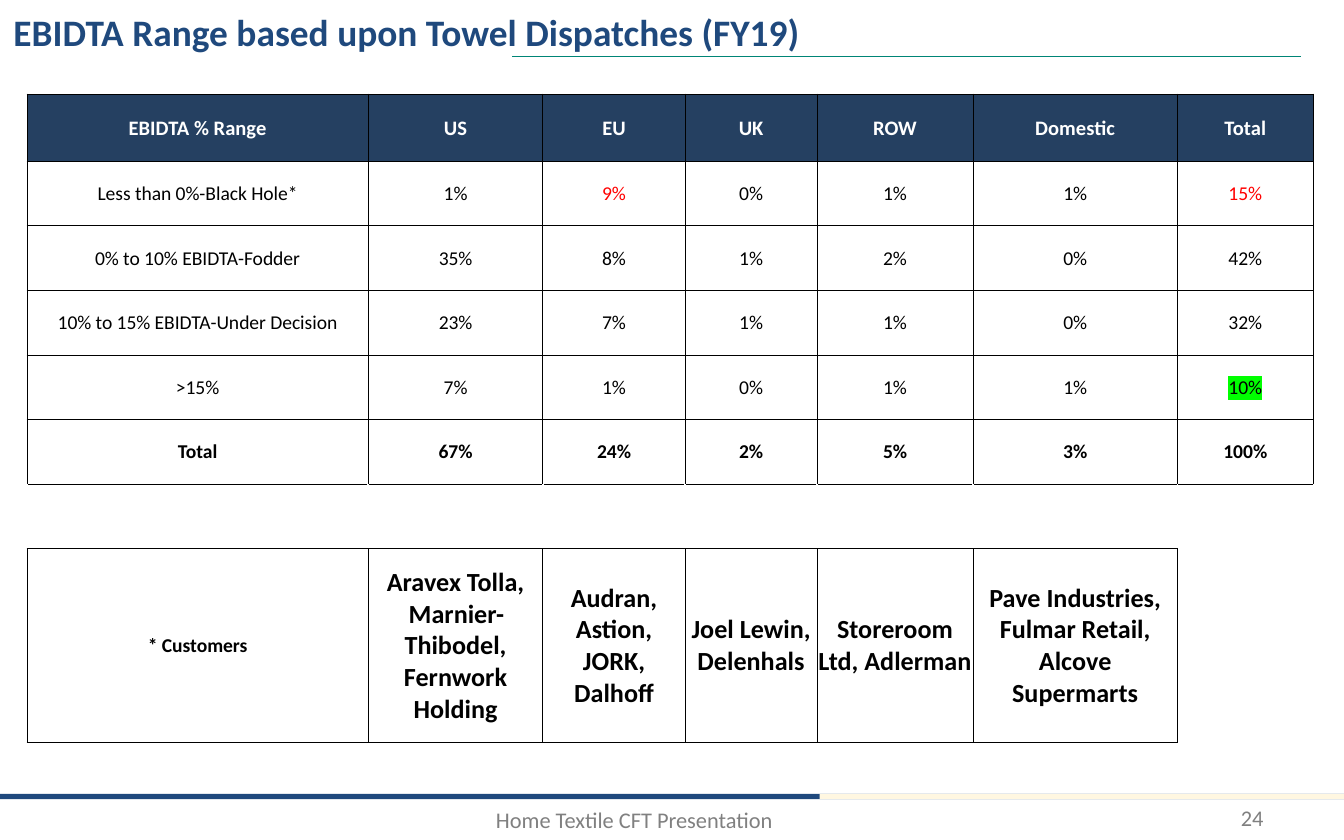
import pptx
import pptx.util
import pptx.dml.color
import pptx.enum.shapes
import pptx.enum.text
import pptx.oxml
import pptx.oxml.ns
from lxml import etree

Cm, Pt = pptx.util.Cm, pptx.util.Pt
RGBColor = pptx.dml.color.RGBColor
PP_ALIGN = pptx.enum.text.PP_ALIGN
ANCHOR = pptx.enum.text.MSO_ANCHOR
qn = pptx.oxml.ns.qn

NAVY = RGBColor(0x1F, 0x49, 0x7D)
HEADER_BLUE = RGBColor(0x25, 0x40, 0x61)
CREAM = RGBColor(0xFF, 0xF7, 0xE1)
TEAL = RGBColor(0x00, 0x85, 0x76)
GREY = RGBColor(0x80, 0x80, 0x80)
RED = RGBColor(0xFF, 0x00, 0x00)
GREEN = RGBColor(0x00, 0xFF, 0x00)
BLACK = RGBColor(0x00, 0x00, 0x00)
WHITE = RGBColor(0xFF, 0xFF, 0xFF)


def format_paragraph(paragraph, size, color, align, bold=False):
    paragraph.alignment = align
    font = paragraph.font
    font.name, font.size, font.bold = "Calibri", Pt(size), bold
    font.color.rgb = color


def add_borders(cell, sides):
    for side in sides:
        cell._tc.get_or_add_tcPr().append(pptx.oxml.parse_xml(
            f'<a:ln{side} xmlns:a="http://schemas.openxmlformats.org/drawingml/2006/main" w="6350">'
            f'<a:solidFill><a:srgbClr val="{BLACK}"/></a:solidFill></a:ln{side}>'))


prs = pptx.Presentation()
prs.slide_width, prs.slide_height = Cm(25.4), Cm(15.88)
slide = prs.slides.add_slide(prs.slide_layouts[5])

# Footer bars
for left, width, color in [(0, 25.4, NAVY), (15.49, 9.91, CREAM)]:
    bar = slide.shapes.add_shape(pptx.enum.shapes.MSO_SHAPE.RECTANGLE,
                                 Cm(left), Cm(15.01), Cm(width), Cm(0.1))
    bar.shadow.inherit = False
    bar.fill.solid()
    bar.fill.fore_color.rgb = color
    bar.line.fill.background()

# Footer text and page number
for text, left, top, width, height, align, anchor in [
        ("Home Textile CFT Presentation", 3.2, 15.11, 17.58, 0.69, PP_ALIGN.CENTER, ANCHOR.TOP),
        ("24", 18.21, 15.14, 5.92, 0.64, PP_ALIGN.RIGHT, ANCHOR.MIDDLE)]:
    footer = slide.shapes.add_textbox(Cm(left), Cm(top), Cm(width), Cm(height)).text_frame
    footer.word_wrap = True
    footer.vertical_anchor = anchor
    footer.text = text
    format_paragraph(footer.paragraphs[0], 12, GREY, align)

# Title and its underline
title = slide.shapes.title
title.left, title.top, title.width, title.height = Cm(0), Cm(0.05), Cm(24.92), Cm(1.6)
title.text_frame.text = "EBIDTA Range based upon Towel Dispatches (FY19)"
title.text_frame.vertical_anchor = ANCHOR.TOP
title.text_frame.auto_size = pptx.enum.text.MSO_AUTO_SIZE.NONE
format_paragraph(title.text_frame.paragraphs[0], 20, NAVY, PP_ALIGN.LEFT, bold=True)

underline = slide.shapes.add_connector(pptx.enum.shapes.MSO_CONNECTOR.STRAIGHT,
                                       Cm(9.68), Cm(1.07), Cm(24.59), Cm(1.07))
underline.line.color.rgb = TEAL
underline.line.width = Pt(0.5)
etree.SubElement(underline._element.spPr, qn("a:effectLst"))

# EBIDTA table, with a spacer row above the customers
ROWS = [
    ["EBIDTA % Range", "US", "EU", "UK", "ROW", "Domestic", "Total"],
    ["Less than 0%-Black Hole*", "1%", "9%", "0%", "1%", "1%", "15%"],
    ["0% to 10% EBIDTA-Fodder", "35%", "8%", "1%", "2%", "0%", "42%"],
    ["10% to 15% EBIDTA-Under Decision", "23%", "7%", "1%", "1%", "0%", "32%"],
    [">15%", "7%", "1%", "0%", "1%", "1%", "10%"],
    ["Total", "67%", "24%", "2%", "5%", "3%", "100%"],
    [""] * 7,
    ["* Customers", "Aravex Tolla, Marnier-Thibodel, Fernwork Holding",
     "Audran, Astion, JORK, Dalhoff", "Joel Lewin, Delenhals",
     "Storeroom Ltd, Adlerman", "Pave Industries, Fulmar Retail, Alcove Supermarts", ""],
]
COLUMN_WIDTHS = [6.45, 3.3, 2.69, 2.49, 2.95, 3.86, 2.57]
ROW_HEIGHTS = [1.27] + [1.22] * 6 + [3.66]
HEADER, TOTAL, SPACER, CUSTOMERS = 0, 5, 6, 7
LAST_COLUMN = len(COLUMN_WIDTHS) - 1
RED_CELLS = {(1, 2), (1, 6)}
HIGHLIGHTED_CELL = (4, 6)

ebidta = slide.shapes.add_table(len(ROWS), len(COLUMN_WIDTHS), Cm(0.51), Cm(1.78),
                                Cm(sum(COLUMN_WIDTHS)), Cm(sum(ROW_HEIGHTS))).table
ebidta.first_row = ebidta.horz_banding = False
for column, width in zip(ebidta.columns, COLUMN_WIDTHS):
    column.width = Cm(width)
for row, height in zip(ebidta.rows, ROW_HEIGHTS):
    row.height = Cm(height)

for r, values in enumerate(ROWS):
    for c, value in enumerate(values):
        cell = ebidta.cell(r, c)
        if value:
            add_borders(cell, "LRTB")
        elif r == SPACER:
            add_borders(cell, "T" if c == LAST_COLUMN else "TB")
        else:
            add_borders(cell, "L")

        if r == HEADER:
            cell.fill.solid()
            cell.fill.fore_color.rgb = HEADER_BLUE
        else:
            cell.fill.background()

        if not value:
            continue
        cell.margin_left = cell.margin_right = cell.margin_top = Cm(0.02)
        cell.margin_bottom = 0
        cell.vertical_anchor = ANCHOR.MIDDLE
        cell.text = value
        size = 11 if r == HEADER else 14 if r == CUSTOMERS and c > 0 else 10.5
        color = WHITE if r == HEADER else RED if (r, c) in RED_CELLS else BLACK
        paragraph = cell.text_frame.paragraphs[0]
        format_paragraph(paragraph, size, color, PP_ALIGN.CENTER,
                         bold=r in (HEADER, TOTAL, CUSTOMERS))
        if (r, c) == HIGHLIGHTED_CELL:
            highlight = etree.SubElement(paragraph.runs[0]._r.get_or_add_rPr(), qn("a:highlight"))
            etree.SubElement(highlight, qn("a:srgbClr"), val=str(GREEN))

prs.save("out.pptx")
